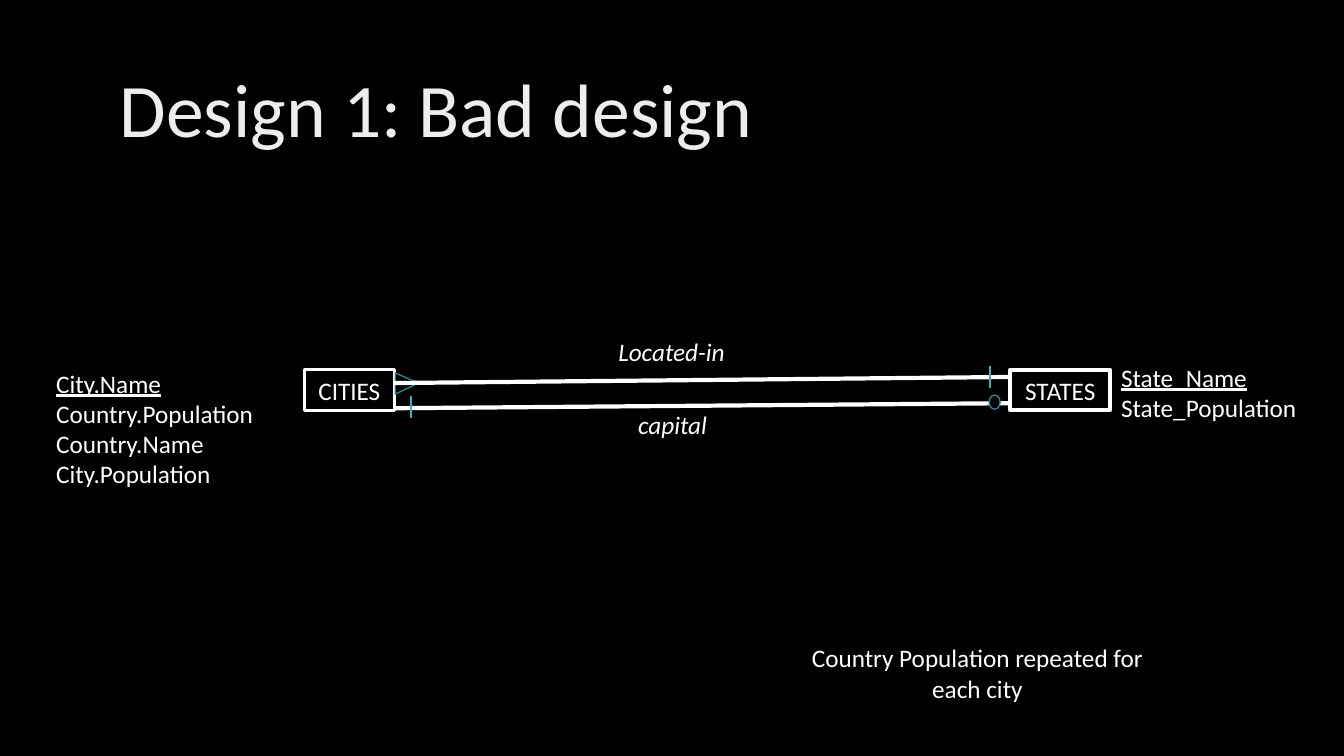
"""Build the 'Design 1: Bad design' entity-relationship slide."""
from lxml import etree
from pptx import Presentation, util as u
from pptx.dml.color import RGBColor
from pptx.enum import shapes, text
from pptx.oxml.ns import qn

BLACK = RGBColor(0x00, 0x00, 0x00)
WHITE = RGBColor(0xFF, 0xFF, 0xFF)
TITLE_GRAY = RGBColor(0xED, 0xED, 0xED)
TEAL = RGBColor(0x41, 0xAE, 0xBD)
DARK_TEAL = RGBColor(0x30, 0x81, 0x8C)

BODY = {"name": "Calibri", "size": u.Pt(18)}
ITALIC = {**BODY, "italic": True}
KEY = {**BODY, "underline": True}
TITLE = {"name": "Calibri", "size": u.Pt(54)}

HEADING = ("Design 1: Bad design", (1.09, 0.4, 11.33, 1.45))
NOTE = ("Country Population repeated for each city", (7.93, 6.32, 3.53, 0.71))
ENTITIES = [
    ("CITIES", (3.02, 3.67, 0.89, 0.4), 2.25),
    ("STATES", (10.02, 3.67, 0.99, 0.4), 3),
]
RELATIONSHIPS = [
    ("Located-in", (5.14, 3.09, 3.04, 0.8)),
    ("capital", (5.61, 3.81, 2.12, 0.8)),
]
ATTRIBUTES = [
    (["City.Name", "Country.Population", "Country.Name", "City.Population"],
     (0.46, 3.6, 2.57, 1.31)),
    (["State_Name", "State_Population"], (11.02, 3.54, 2.28, 0.71)),
]
CAPITAL_LINE = (3.91, 4.05, 10.02, 4)
LOCATED_LINE = (3.91, 3.8, 10.02, 3.74)
ONE_MARKS = [(9.82, 3.63), (4.08, 3.93)]
MARK_HEIGHT = 0.22
MANY_MARK = (3.93, 3.69, 0.21, 0.23)
ZERO_MARK = (9.81, 3.92, 0.11, 0.14)


def inches(lengths):
    return [u.Inches(length) for length in lengths]


def write(box, lines, styles, color=WHITE, align=text.PP_ALIGN.CENTER,
          anchor=text.MSO_ANCHOR.MIDDLE, wrap=True):
    frame = box.text_frame
    frame.word_wrap = wrap
    frame.vertical_anchor = anchor
    for index, (line, style) in enumerate(zip(lines, styles)):
        para = frame.paragraphs[0] if index == 0 else frame.add_paragraph()
        para.alignment = align
        span = para.add_run()
        span.text = line
        span.font.color.rgb = color
        for name, value in style.items():
            setattr(span.font, name, value)
    return frame


def add_box(page, kind, place, line=None, width=1, fill=None):
    box = page.shapes.add_shape(kind, *inches(place))
    box.shadow.inherit = False
    if fill is None:
        box.fill.background()
    else:
        box.fill.solid()
        box.fill.fore_color.rgb = fill
    if line is None:
        box.line.fill.background()
    else:
        box.line.color.rgb = line
        box.line.width = u.Pt(width)
    return box


def add_line(page, ends, color, width):
    line = page.shapes.add_connector(shapes.MSO_CONNECTOR.STRAIGHT, *inches(ends))
    line.line.color.rgb = color
    line.line.width = u.Pt(width)
    etree.SubElement(line._element.spPr, qn("a:effectLst"))


def main():
    deck = Presentation()
    deck.slide_width, deck.slide_height = inches((13.33, 7.5))
    page = deck.slides.add_slide(deck.slide_layouts[6])
    page.background.fill.solid()
    page.background.fill.fore_color.rgb = BLACK
    kinds = shapes.MSO_SHAPE

    heading, place = HEADING
    frame = write(page.shapes.add_textbox(*inches(place)), [heading], [TITLE],
                  TITLE_GRAY, text.PP_ALIGN.LEFT)
    frame.paragraphs[0].line_spacing = 0.9

    for name, place, width in ENTITIES:
        box = add_box(page, kinds.RECTANGLE, place, WHITE, width)
        write(box, [name], [BODY], wrap=False)
    for name, place in RELATIONSHIPS:
        box = add_box(page, kinds.DIAMOND, place)
        write(box, [name], [ITALIC], wrap=False)
    for names, place in ATTRIBUTES:
        styles = [KEY] + [BODY] * (len(names) - 1)
        write(page.shapes.add_textbox(*inches(place)), names, styles,
              align=text.PP_ALIGN.LEFT, anchor=text.MSO_ANCHOR.TOP)
    note, place = NOTE
    write(page.shapes.add_textbox(*inches(place)), [note], [BODY])

    add_line(page, CAPITAL_LINE, WHITE, 3)
    many = add_box(page, kinds.ISOSCELES_TRIANGLE, MANY_MARK, DARK_TEAL, fill=BLACK)
    many.rotation = 90
    many.adjustments[0] = 0.48
    add_box(page, kinds.OVAL, ZERO_MARK, DARK_TEAL, fill=BLACK)
    add_line(page, LOCATED_LINE, WHITE, 3)
    for x, top in ONE_MARKS:
        add_line(page, (x, top, x, top + MARK_HEIGHT), TEAL, 1.5)

    deck.save("out.pptx")


if __name__ == "__main__":
    main()
